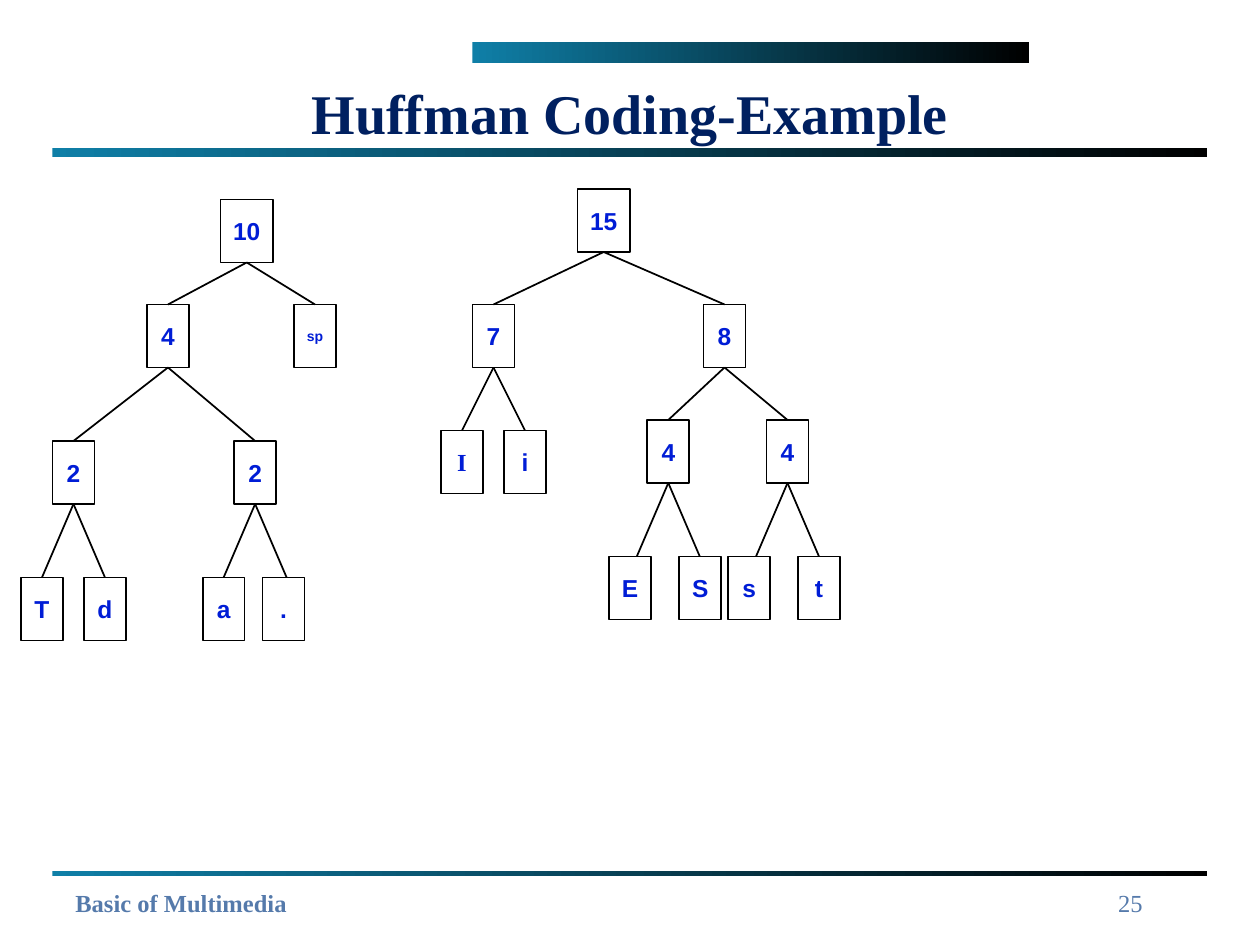
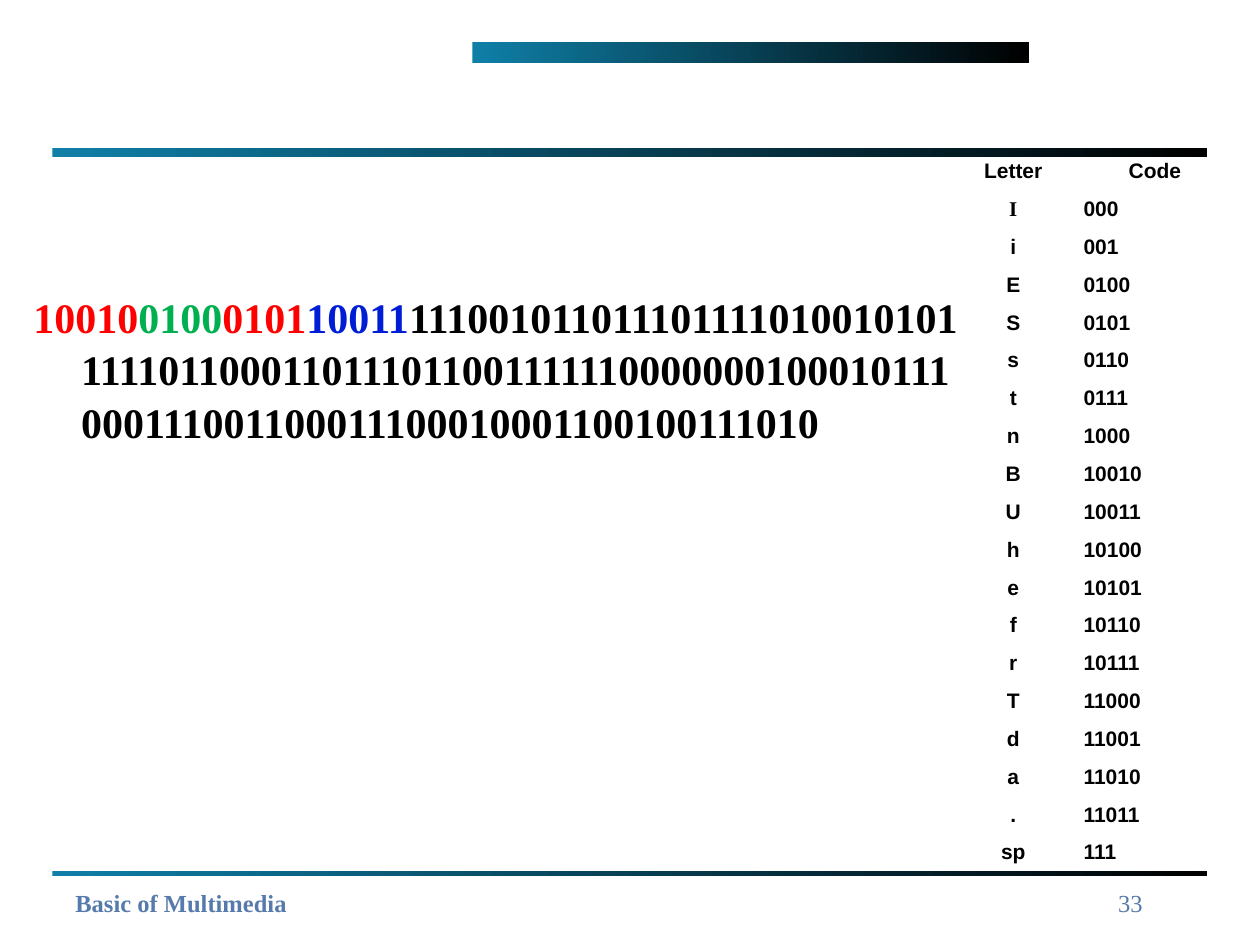
import dataclasses
import typing

import pptx
import pptx.dml.color
import pptx.enum.shapes
import pptx.enum.text
import pptx.oxml.ns
import pptx.util
from lxml import etree

ALIGN = pptx.enum.text.PP_ALIGN
ANCHOR = pptx.enum.text.MSO_ANCHOR
COLUMNS, ROWS = 120, 90  # grid cells of 1/12 inch
SERIF, SANS = "Times New Roman", "Arial"
NAVY, BLUE, STEEL, TEAL = "002060", "001DD6", "557AAB", "0F7FA7"
RED, GREEN, BLACK, WHITE = "FF0000", "00B050", "000000", "FFFFFF"
NO_STYLE_NO_GRID = "{2D5ABB26-0587-4C30-8999-92F81FD0307C}"

TITLE = dict(name=SERIF, size=32, bold=True, color=NAVY)
FOOTER = dict(name=SERIF, size=14, bold=True, color=STEEL)
PAGE_NUMBER = FOOTER | dict(bold=False)
NODE = dict(name=SANS, size=14, bold=True, color=BLUE)
BITS = dict(name=SERIF, size=24, bold=True, color=BLACK)
CELL = dict(name=SANS, size=12, bold=True, color=BLACK)


class Area(typing.NamedTuple):
    """Left, top, width and height in grid cells."""
    left: float
    top: float
    width: float
    height: float


@dataclasses.dataclass
class Node:
    label: str
    left: float
    top: float
    children: tuple["Node", ...] = ()
    width: float = 4
    height: float = 6
    style: dict = dataclasses.field(default_factory=dict)

    @property
    def center(self) -> float:
        return self.left + self.width / 2

    def leg_ends(self) -> list[float]:
        """Legs to a pair of leaves spread evenly; others meet the child's centre."""
        if any(child.children for child in self.children):
            return [child.center for child in self.children]
        return [self.center - 3, self.center + 3][:len(self.children)]


BANDS = (Area(45, 4, 53, 2), Area(5, 14.1, 110, 0.85), Area(5, 83, 110, 0.45))

TREES = (
    Node("10", 21, 19, (
        Node("4", 14, 29, (
            Node("2", 5, 42, (Node("T", 2, 55), Node("d", 8, 55))),
            Node("2", 22.3, 42, (Node("a", 19.3, 55), Node(".", 25, 55))),
        )),
        Node("sp", 28, 29, style=dict(size=8)),
    ), width=5),
    Node("15", 55, 18, (
        Node("7", 45, 29, (
            Node("I", 42, 41, style=dict(name=SERIF)),
            Node("i", 48, 41),
        )),
        Node("8", 67, 29, (
            Node("4", 61.65, 40, (Node("E", 58, 53), Node("S", 64.7, 53))),
            Node("4", 73, 40, (Node("s", 69.35, 53), Node("t", 76, 53))),
        )),
    ), width=5),
)

MESSAGE = (
    ("10010", RED), ("0100", GREEN), ("0101", RED), ("10011", BLUE),
    ("1110010110111011110100101011111011000110111011001111110000000"
     "100010111000111001100011100010001100100111010", BLACK),
)

CODES = {
    "I": "000", "i": "001", "E": "0100", "S": "0101", "s": "0110", "t": "0111",
    "n": "1000", "B": "10010", "U": "10011", "h": "10100", "e": "10101",
    "f": "10110", "r": "10111", "T": "11000", "d": "11001", "a": "11010",
    ".": "11011", "sp": "111",
}

deck = pptx.Presentation()
deck.slide_width = pptx.util.Inches(10)
deck.slide_height = pptx.util.Inches(7.5)


def across(columns: float) -> int:
    return round(deck.slide_width * columns / COLUMNS)


def down(rows: float) -> int:
    return round(deck.slide_height * rows / ROWS)


def place(area: Area) -> tuple[int, int, int, int]:
    return across(area.left), down(area.top), across(area.width), down(area.height)


def rgb(value: str) -> pptx.dml.color.RGBColor:
    return pptx.dml.color.RGBColor.from_string(value)


def write(para, text: str, style: dict):
    span = para.add_run()
    span.text = text
    for key, value in style.items():
        if key == "color":
            span.font.color.rgb = rgb(value)
        else:
            setattr(span.font, key, pptx.util.Pt(value) if key == "size" else value)


def add_text(page, area: Area, spans, align=ALIGN.LEFT, anchor=ANCHOR.TOP):
    """Add a one-paragraph text box from (text, style) pairs; return the paragraph."""
    frame = page.shapes.add_textbox(*place(area)).text_frame
    frame.word_wrap = True
    frame.vertical_anchor = anchor
    para = frame.paragraphs[0]
    para.alignment = align
    for text, style in spans:
        write(para, text, style)
    return para


def add_rectangle(page, area: Area):
    box = page.shapes.add_shape(pptx.enum.shapes.MSO_SHAPE.RECTANGLE, *place(area))
    box.shadow.inherit = False
    return box


def add_band(page, area: Area):
    band = add_rectangle(page, area)
    band.line.fill.background()
    band.fill.gradient()
    band.fill.gradient_angle = 0
    for stop, color, position in zip(band.fill.gradient_stops, (TEAL, BLACK), (0, 1)):
        stop.color.rgb = rgb(color)
        stop.position = position


def add_page(number: int):
    """Add a slide with the shared bands, footer and page number."""
    page = deck.slides.add_slide(deck.slide_layouts[6])
    add_text(page, Area(6, 84, 73, 4), [("Basic of Multimedia", FOOTER)])
    for area in BANDS:
        add_band(page, area)
    add_text(page, Area(85, 84, 25, 6), [(str(number), PAGE_NUMBER)], ALIGN.RIGHT)
    return page


def add_leg(page, start: tuple[float, float], end: tuple[float, float]):
    leg = page.shapes.add_connector(
        pptx.enum.shapes.MSO_CONNECTOR.STRAIGHT,
        across(start[0]), down(start[1]), across(end[0]), down(end[1]))
    leg.line.color.rgb = rgb(BLACK)
    leg.line.width = pptx.util.Pt(1)
    etree.SubElement(leg._element.spPr, pptx.oxml.ns.qn("a:effectLst"))


def add_tree(page, node: Node):
    for child in node.children:
        add_tree(page, child)
    box = add_rectangle(page, Area(node.left, node.top, node.width, node.height))
    box.fill.solid()
    box.fill.fore_color.rgb = rgb(WHITE)
    box.line.color.rgb = rgb(BLACK)
    box.line.width = pptx.util.Pt(1)
    frame = box.text_frame
    frame.margin_left = frame.margin_right = 0
    frame.vertical_anchor = ANCHOR.MIDDLE
    frame.paragraphs[0].alignment = ALIGN.CENTER
    write(frame.paragraphs[0], node.label, NODE | node.style)
    for child, end in zip(node.children, node.leg_ends()):
        add_leg(page, (node.center, node.top + node.height), (end, child.top))


def add_code_table(page):
    rows = [("Letter", "Code"), *CODES.items()]
    row_height = 2.8
    holder = page.shapes.add_table(
        len(rows), 2, *place(Area(91, 14.6, 27, row_height * len(rows))))
    table = holder.table
    table.first_row = table.horz_banding = False
    for style_id in holder._element.iter(pptx.oxml.ns.qn("a:tableStyleId")):
        style_id.text = NO_STYLE_NO_GRID
    for column, width in zip(table.columns, (11, 16)):
        column.width = across(width)
    for r, row in enumerate(rows):
        table.rows[r].height = down(row_height)
        for c, text in enumerate(row):
            cell = table.cell(r, c)
            cell.fill.background()
            para = cell.text_frame.paragraphs[0]
            para.alignment = ALIGN.CENTER if r == 0 or c == 0 else ALIGN.LEFT
            write(para, text, CELL | (dict(name=SERIF) if text == "I" else {}))


def add_message(page):
    spans = [(bits, BITS | dict(color=color)) for bits, color in MESSAGE]
    para = add_text(page, Area(2, 26.9, 91, 55.5), spans)
    para.line_spacing = 1.05
    hanging = pptx.util.Inches(0.38)
    properties = para._p.get_or_add_pPr()
    properties.set("marL", str(hanging))
    properties.set("indent", str(-hanging))


def main():
    tree_page = add_page(25)
    add_text(tree_page, Area(5, 6.7, 110, 8), [("Huffman Coding-Example", TITLE)],
             ALIGN.CENTER, ANCHOR.MIDDLE)
    for tree in TREES:
        add_tree(tree_page, tree)

    code_page = add_page(33)
    add_message(code_page)
    add_code_table(code_page)
    deck.save("out.pptx")


if __name__ == "__main__":
    main()
